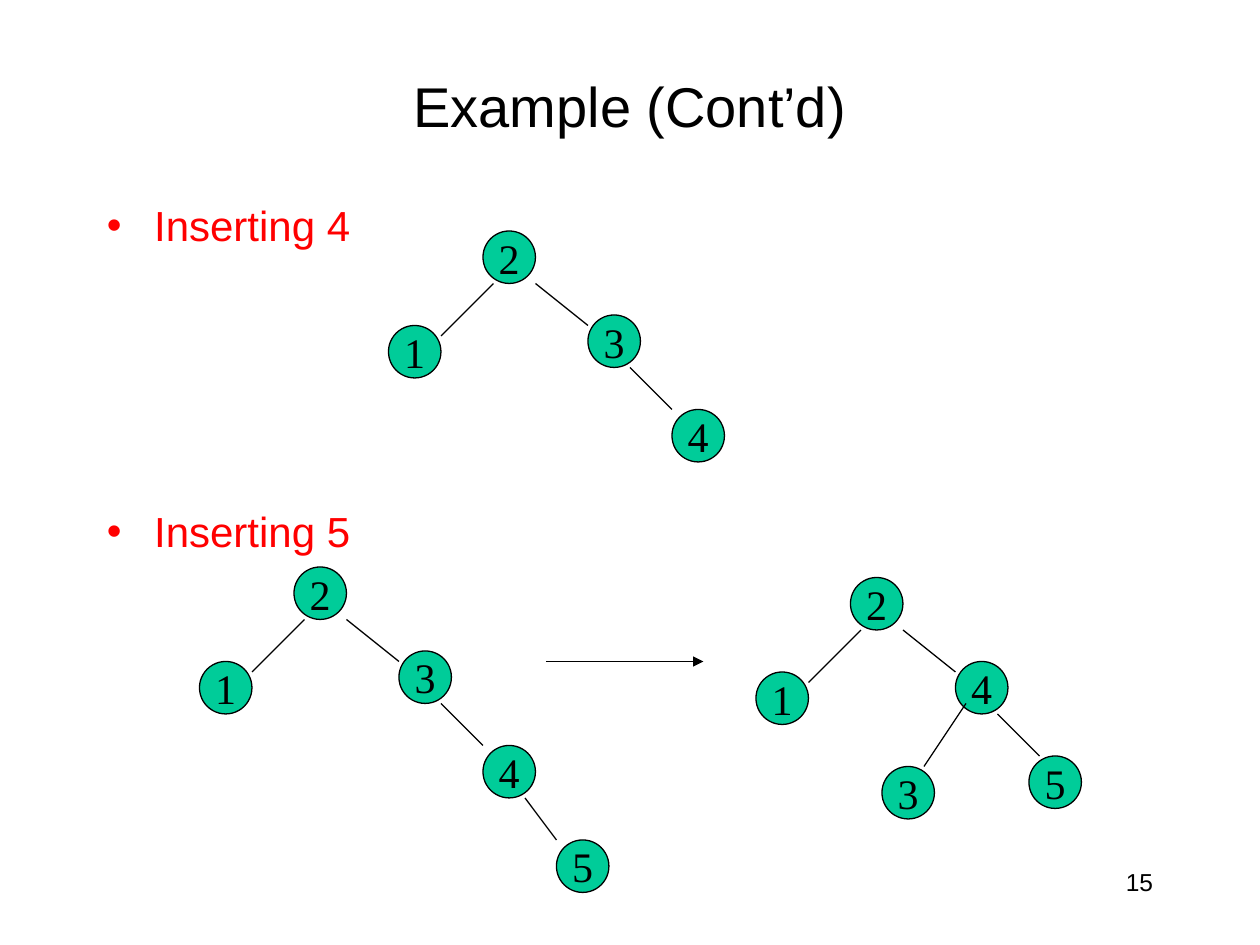
import lxml.etree
import pptx
import pptx.dml.color
import pptx.enum.shapes
import pptx.enum.text
import pptx.oxml.ns
import pptx.util

SCALE = 9525
NODE = 40
ALIGN = pptx.enum.text.PP_ALIGN
ANCHOR = pptx.enum.text.MSO_ANCHOR


def px(size):
    return pptx.util.Emu(size * SCALE)


def color(code):
    return pptx.dml.color.RGBColor.from_string(code)


def add_tag(parent, name, **attrs):
    return lxml.etree.SubElement(parent, pptx.oxml.ns.qn(name), attrs)


class Deck:
    """Holds the style and the current slide, and draws each kind of element."""

    ink, accent, green = "000000", "FF0000", "00CC99"
    sans, serif = "Arial", "Times New Roman"
    indent = 36

    def __init__(self, slide):
        self.slide = slide

    def add_text(self, para, text, size, font, code):
        run = para.add_run()
        run.text = text
        run.font.size = pptx.util.Pt(size)
        run.font.name = font
        run.font.color.rgb = color(code)

    def box(self, left, top, width, height, anchor=ANCHOR.TOP):
        shape = self.slide.shapes.add_textbox(px(left), px(top), px(width), px(height))
        frame = shape.text_frame
        frame.word_wrap = True
        frame.vertical_anchor = anchor
        return frame

    def label(self, text, size, align, left, top, width, height, anchor=ANCHOR.TOP):
        para = self.box(left, top, width, height, anchor).paragraphs[0]
        para.alignment = align
        self.add_text(para, text, size, self.sans, self.ink)

    def bullets(self, items, gap, left, top, width, height):
        frame = self.box(left, top, width, height)
        frame.margin_top = px(8)
        for index, text in enumerate(items):
            para = frame.add_paragraph() if index else frame.paragraphs[0]
            if index:
                para.space_before = pptx.util.Pt(gap)
            props = para._p.get_or_add_pPr()
            props.set("marL", str(px(self.indent)))
            props.set("indent", str(-px(self.indent)))
            add_tag(add_tag(props, "a:buClr"), "a:srgbClr", val=self.accent)
            add_tag(props, "a:buFont", typeface=self.sans)
            add_tag(props, "a:buChar", char="•")
            self.add_text(para, text, 24, self.sans, self.accent)

    def node(self, text, left, top):
        oval = pptx.enum.shapes.MSO_SHAPE.OVAL
        shape = self.slide.shapes.add_shape(oval, px(left), px(top), px(NODE), px(NODE))
        shape.shadow.inherit = False
        shape.fill.solid()
        shape.fill.fore_color.rgb = color(self.green)
        shape.line.color.rgb = color(self.ink)
        shape.line.width = pptx.util.Pt(0.75)
        frame = shape.text_frame
        frame.word_wrap = False
        frame.vertical_anchor = ANCHOR.MIDDLE
        para = frame.paragraphs[0]
        para.alignment = ALIGN.CENTER
        self.add_text(para, text, 24, self.serif, self.ink)

    def line(self, x1, y1, x2, y2, arrow=False):
        kind = pptx.enum.shapes.MSO_CONNECTOR.STRAIGHT
        link = self.slide.shapes.add_connector(kind, px(x1), px(y1), px(x2), px(y2))
        link.line.color.rgb = color(self.ink)
        link.line.width = pptx.util.Pt(0.75)
        if arrow:
            add_tag(link.line._ln, "a:tailEnd", type="triangle")
        add_tag(link._element.spPr, "a:effectLst")

    def tree(self, left, top, nodes, edges):
        for text, x, y in nodes:
            self.node(text, left + x, top + y)
        for x1, y1, x2, y2 in edges:
            self.line(left + x1, top + y1, left + x2, top + y2)


def main():
    show = pptx.Presentation()
    show.slide_width, show.slide_height = px(960), px(720)
    deck = Deck(show.slides.add_slide(show.slide_layouts[6]))

    deck.label("15", 14, ALIGN.RIGHT, 688, 656, 200, 48)
    deck.label("Example (Cont’d)", 32, ALIGN.CENTER, 72, 40, 816, 80, ANCHOR.MIDDLE)
    deck.bullets(["Inserting 4", "Inserting 5"], 146, 72, 144, 816, 496)

    top = [("2", 0, 0), ("1", -72, 72)]
    chain = top + [("3", 80, 64), ("4", 144, 136)]
    edges = [(8, 40, -32, 80), (40, 40, 80, 72), (112, 104, 144, 136)]
    deck.tree(368, 176, chain, edges)
    deck.tree(224, 432, chain + [("5", 200, 208)], edges + [(176, 176, 200, 208)])
    deck.line(416, 504, 536, 504, arrow=True)
    turned = top + [("4", 80, 64), ("3", 24, 144), ("5", 136, 136)]
    deck.tree(648, 440, turned, edges + [(88, 96, 56, 144)])

    show.save("out.pptx")


if __name__ == "__main__":
    main()
